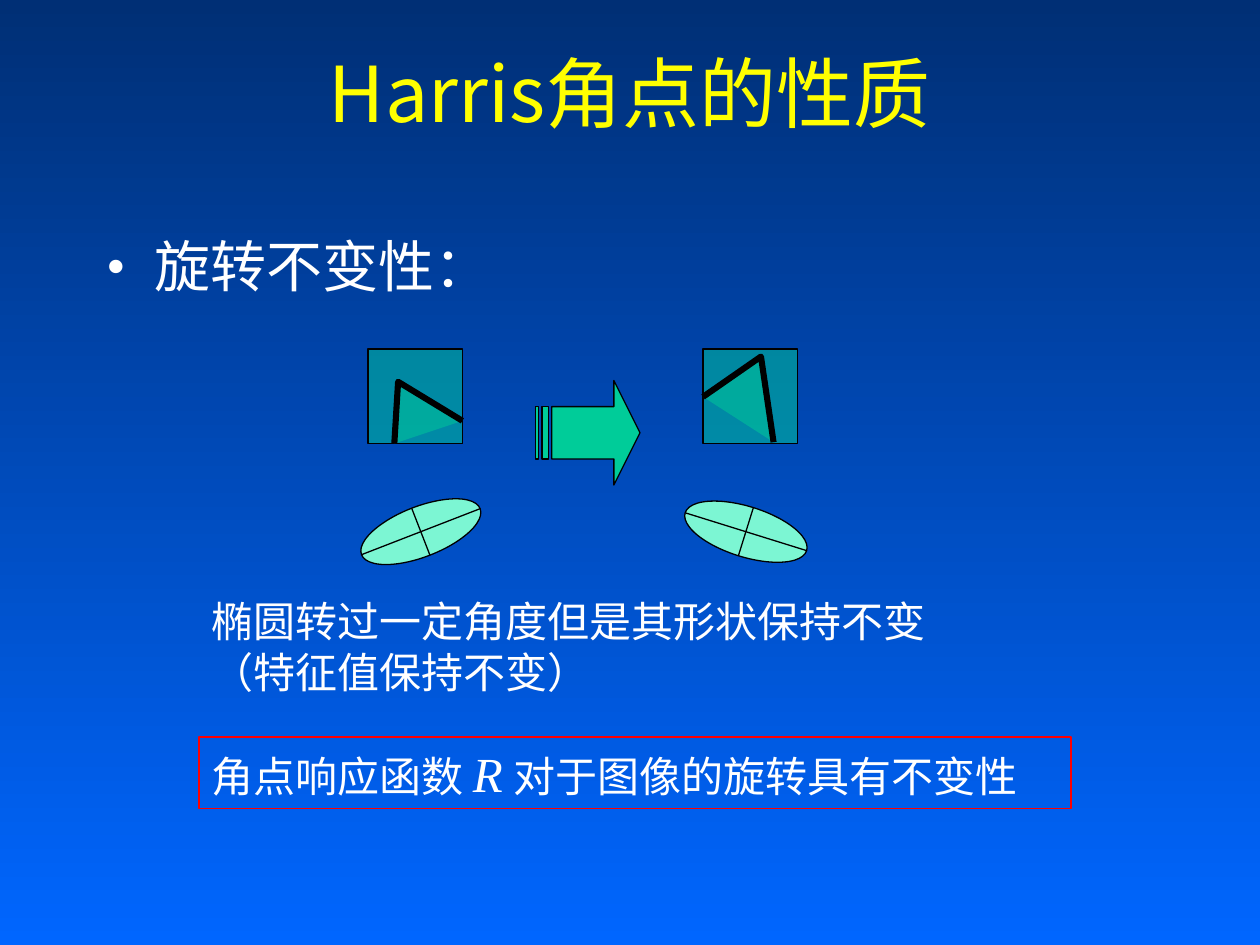
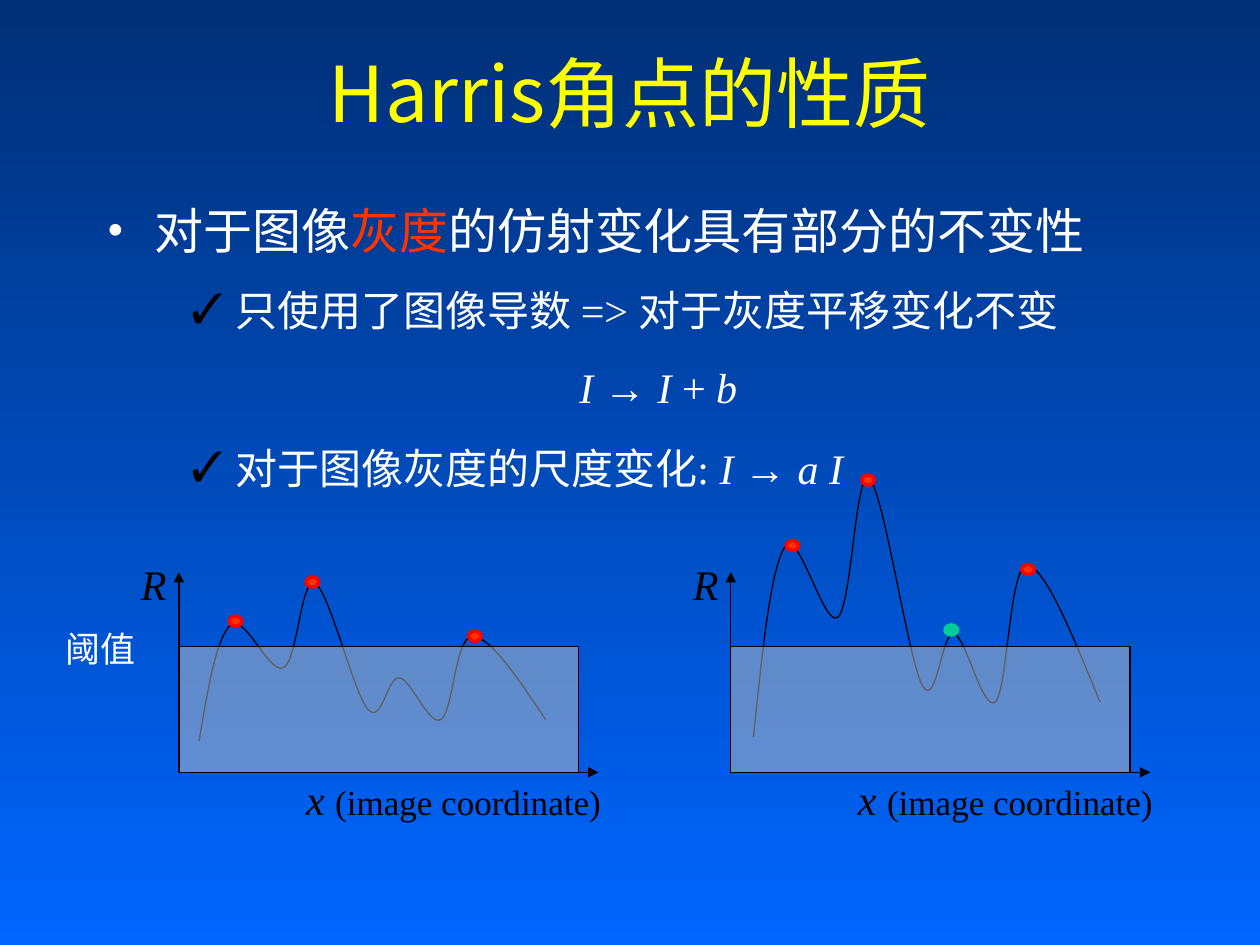
from math import cos, radians, sin

from lxml.etree import SubElement
from pptx import Presentation
from pptx.dml.color import RGBColor
from pptx.enum.shapes import MSO_CONNECTOR as Connector, MSO_SHAPE as Preset
from pptx.enum.text import MSO_ANCHOR as Anchor, PP_ALIGN as Align
from pptx.oxml.ns import qn
from pptx.util import Inches, Pt

SLIDE_WIDTH, SLIDE_HEIGHT = Inches(10), Inches(7.5)
COLUMN, ROW = SLIDE_WIDTH / 10, SLIDE_HEIGHT / 7.5

NIGHT = RGBColor(0x00, 0x2F, 0x75)
AZURE = RGBColor(0x00, 0x66, 0xFF)
YELLOW = RGBColor(0xFF, 0xFF, 0x00)
WHITE = RGBColor(0xFF, 0xFF, 0xFF)
BLACK = RGBColor(0x00, 0x00, 0x00)
GREEN = RGBColor(0x00, 0xCC, 0x99)
MINT = RGBColor(0x7C, 0xF6, 0xD3)
GRAY = RGBColor(0xC0, 0xC0, 0xC0)
RED = RGBColor(0xFF, 0x00, 0x00)
ORANGE = RGBColor(0xFF, 0x33, 0x00)

SERIF, SANS, ARROW_FONT = "Times New Roman", "Noto Sans CJK SC", "Arial"
ITALIC = {"italic": True}
ARROW = ("→ ", {"font": ARROW_FONT})
TITLE = "Harris角点的性质"

RESPONSE = [(1.58, 5.88), (1.83, 4.96), (2.25, 5.3), (2.5, 4.63), (2.92, 5.63),
            (3.17, 5.38), (3.5, 5.71), (3.75, 5.05), (4.33, 5.71)]
CURVE_SHIFT, CURVE_TOP, CURVE_PEAK, CURVE_SCALE = 4.4, 3.8, 4.63, 1.64
STRONG_CORNERS = [(1.87, 4.93), (2.48, 4.62), (3.77, 5.05),
                  (6.29, 4.33), (6.89, 3.81), (8.16, 4.52)]
NEW_CORNER = (7.55, 5)


def place(left, top, width, height):
    """Turn grid columns and rows into lengths."""
    return (round(left * COLUMN), round(top * ROW),
            round(width * COLUMN), round(height * ROW))


def set_bullet(paragraph, symbol, color):
    """Give a paragraph a coloured bullet."""
    properties = paragraph._p.get_or_add_pPr()
    holder = SubElement(properties, qn("a:buClr"))
    SubElement(holder, qn("a:srgbClr"), val=str(color))
    SubElement(properties, qn("a:buFont"), typeface=SERIF)
    SubElement(properties, qn("a:buChar"), char=symbol)


def add_text(frame, runs, first=True, size=24, color=WHITE, font=SERIF, align=Align.LEFT,
             indent=0, bullet=None, bullet_color=WHITE, before=0, spacing=None):
    """Write one paragraph from (text, format) pairs or a plain string."""
    paragraph = frame.paragraphs[0] if first else frame.add_paragraph()
    paragraph.alignment = align
    paragraph.space_before = Pt(before)
    if spacing:
        paragraph.line_spacing = spacing
    properties = paragraph._p.get_or_add_pPr()
    properties.set("marL", str(round(indent * COLUMN)))
    if bullet:
        properties.set("indent", str(round(-indent * COLUMN)))
        set_bullet(paragraph, bullet, bullet_color)
    for text, style in [(runs, {})] if isinstance(runs, str) else runs:
        run = paragraph.add_run()
        run.text = text
        run.font.name = style.get("font", font)
        run.font.size = Pt(style.get("size", size))
        run.font.italic = style.get("italic", False)
        run.font.color.rgb = style.get("color", color)


def add_box(slide, area, runs, wrap=True, **style):
    """Add a text box and return its frame."""
    frame = slide.shapes.add_textbox(*place(*area)).text_frame
    frame.word_wrap = wrap
    add_text(frame, runs, **style)
    return frame


def paint(shape, fill=None, line=BLACK, width=0.75, opacity=100):
    """Set fill, outline and transparency, without shadow."""
    shape.shadow.inherit = False
    shape.line.color.rgb = line
    shape.line.width = Pt(width)
    if fill is None:
        shape.fill.background()
        return
    shape.fill.solid()
    shape.fill.fore_color.rgb = fill
    if opacity < 100:
        color = shape.fill._xPr.find(qn("a:solidFill"))[0]
        SubElement(color, qn("a:alpha"), val=str(opacity * 1000))


def add_shape(slide, preset, area, **look):
    """Add a painted preset shape."""
    shape = slide.shapes.add_shape(preset, *place(*area))
    paint(shape, **look)
    return shape


def add_outline(slide, points, **look):
    """Add an open outline through the points."""
    spots = [(x * COLUMN, y * ROW) for x, y in points]
    builder = slide.shapes.build_freeform(*spots[0])
    builder.add_line_segments(spots[1:], close=False)
    shape = builder.convert_to_shape()
    paint(shape, **look)
    return shape


def add_line(slide, start, end, arrow=False):
    """Add a thin black line, with an arrowhead at its end if wanted."""
    line = slide.shapes.add_connector(Connector.STRAIGHT, *place(*start, *end))
    line.line.color.rgb = BLACK
    line.line.width = Pt(0.75)
    if arrow:
        SubElement(line.line._get_or_add_ln(), qn("a:tailEnd"), type="triangle")
    SubElement(line._element.spPr, qn("a:effectLst"))


def mix(weights, *points):
    """Return the weighted sum of points."""
    return tuple(sum(w * p[i] for w, p in zip(weights, points)) for i in (0, 1))


def curve_points(knots):
    """List Catmull-Rom knots with the two Bezier handles of each piece."""
    last = len(knots) - 1
    points = [knots[0]]
    for k in range(last):
        start, end = knots[k], knots[k + 1]
        leave = mix((1, 1 / 6, -1 / 6), start, end, knots[k - 1]) if k else None
        arrive = (mix((1, -1 / 6, 1 / 6), end, knots[k + 2], start) if k + 1 < last
                  else mix((0.5, 0.5), leave, end))
        points += [leave or mix((0.5, 0.5), start, arrive), arrive, end]
    return points


def add_curve(slide, knots):
    """Add a smooth open curve through the knots."""
    shape = add_outline(slide, curve_points(knots))
    segments = list(shape._element.iter(qn("a:lnTo")))
    outline = segments[0].getparent()
    for first in range(0, len(segments), 3):
        piece = SubElement(outline, qn("a:cubicBezTo"))
        for segment in segments[first:first + 3]:
            piece.append(segment[0])
            outline.remove(segment)


def add_patch(slide, left, corner):
    """Add a square image window with a corner in it."""
    add_shape(slide, Preset.RECTANGLE, (left, 2.77, 0.75, 0.75), fill=GREEN, opacity=50)
    add_outline(slide, corner, fill=GREEN, width=3.5, opacity=50)


def add_ellipse_with_axes(slide, x, y, angle, half_long=0.505, half_short=0.2):
    """Add a turned ellipse and its two axes."""
    ellipse = add_shape(slide, Preset.OVAL, (x - half_long, y - half_short,
                                             2 * half_long, 2 * half_short), fill=MINT)
    ellipse.rotation = angle
    for half, turn in ((half_long, angle), (half_short, angle + 90)):
        dx, dy = half * cos(radians(turn)), half * sin(radians(turn))
        add_line(slide, (x - dx, y - dy), (x + dx, y + dy))


def add_response_plot(slide, left, knots):
    """Add a response curve, its axes and the band below the threshold."""
    base = 6.13
    add_curve(slide, knots)
    for end in ((left + 3.33, base), (left, 4.54)):
        add_line(slide, (left, base), end, arrow=True)
    label = {"wrap": False, "color": BLACK, "align": Align.CENTER}
    add_box(slide, (left - 0.4, 4.38, 0.4, 0.5), [("R", ITALIC)], **label)
    add_box(slide, (left + 0.91, 6.09, 2.54, 0.5),
            [("x ", ITALIC), ("(image coordinate)", {"size": 20})], **label)
    add_shape(slide, Preset.RECTANGLE, (left, base - 1, 3.17, 1), fill=GRAY, opacity=50)


def add_corner_dot(slide, x, y, fill, line):
    """Mark a detected corner."""
    add_shape(slide, Preset.OVAL, (x - 0.05, y - 0.04, 0.1, 0.08),
              fill=fill, line=line, width=2)


def add_slide(presentation):
    """Add a slide with the shared background and title."""
    slide = presentation.slides.add_slide(presentation.slide_layouts[6])
    fill = slide.background.fill
    fill.gradient()
    fill.gradient_angle = 270
    for stop, color in zip(fill.gradient_stops, (NIGHT, AZURE)):
        stop.color.rgb = color
    add_box(slide, (0.5, 0.31, 9, 1.25), TITLE, size=44, color=YELLOW,
            font=SANS, align=Align.CENTER)
    return slide


def build_rotation_slide(presentation):
    """Show that corners survive rotation."""
    slide = add_slide(presentation)
    add_box(slide, (0.75, 1.85, 8.5, 0.58), "旋转不变性：", size=32,
            indent=0.38, bullet="•", spacing=0.9)
    add_patch(slide, 2.92, [(3.13, 3.52), (3.16, 3.03), (3.67, 3.34)])
    add_patch(slide, 5.58, [(5.58, 3.15), (6.04, 2.83), (6.14, 3.51)])
    arrow = add_shape(slide, Preset.STRIPED_RIGHT_ARROW, (4.25, 3.02, 0.83, 0.83), fill=GREEN)
    arrow.adjustments[1] = 0.25
    frame = add_box(slide, (1.58, 4.68, 6.25, 0.9), "椭圆转过一定角度但是其形状保持不变")
    add_text(frame, "（特征值保持不变）", first=False)
    add_ellipse_with_axes(slide, 3.34, 4.22, -21.2)
    add_ellipse_with_axes(slide, 5.92, 4.22, 17.3)
    box = add_shape(slide, Preset.RECTANGLE, (1.58, 5.85, 6.92, 0.57), line=RED)
    box.text_frame.vertical_anchor = Anchor.TOP
    add_text(box.text_frame, [("角点响应函数 ", {}), ("R", {"size": 28, "italic": True}),
                              (" 对于图像的旋转具有不变性", {})])


def build_intensity_slide(presentation):
    """Show how corners react to intensity changes."""
    slide = add_slide(presentation)
    add_box(slide, (0.75, 1.54, 8.5, 0.58),
            [("对于图像", {}), ("灰度", {"color": ORANGE}), ("的仿射变化具有部分的不变性", {})],
            size=28, indent=0.38, bullet="•")
    check = {"indent": 0.35, "bullet": "✓", "bullet_color": BLACK}
    frame = add_box(slide, (1.42, 2.21, 7.6, 1.11),
                    "只使用了图像导数 => 对于灰度平移变化不变", **check)
    add_text(frame, [("I ", ITALIC), ARROW, ("I ", ITALIC), ("+ ", {}), ("b", ITALIC)],
             first=False, indent=3.08, before=15)
    add_box(slide, (1.42, 3.46, 5.67, 0.5),
            [("对于图像灰度的尺度变化: ", {}), ("I ", ITALIC), ARROW, ("a I", ITALIC)], **check)
    scaled = [(x + CURVE_SHIFT, CURVE_TOP + CURVE_SCALE * (y - CURVE_PEAK))
              for x, y in RESPONSE]
    add_response_plot(slide, 1.42, RESPONSE)
    add_response_plot(slide, 5.8, scaled)
    add_box(slide, (0.4, 4.93, 0.79, 0.44), "阈值", wrap=False, size=20, align=Align.CENTER)
    for x, y in STRONG_CORNERS:
        add_corner_dot(slide, x, y, ORANGE, RED)
    add_corner_dot(slide, *NEW_CORNER, GREEN, GREEN)


def main():
    """Build and save both slides."""
    presentation = Presentation()
    presentation.slide_width, presentation.slide_height = SLIDE_WIDTH, SLIDE_HEIGHT
    build_rotation_slide(presentation)
    build_intensity_slide(presentation)
    presentation.save("out.pptx")


if __name__ == "__main__":
    main()
